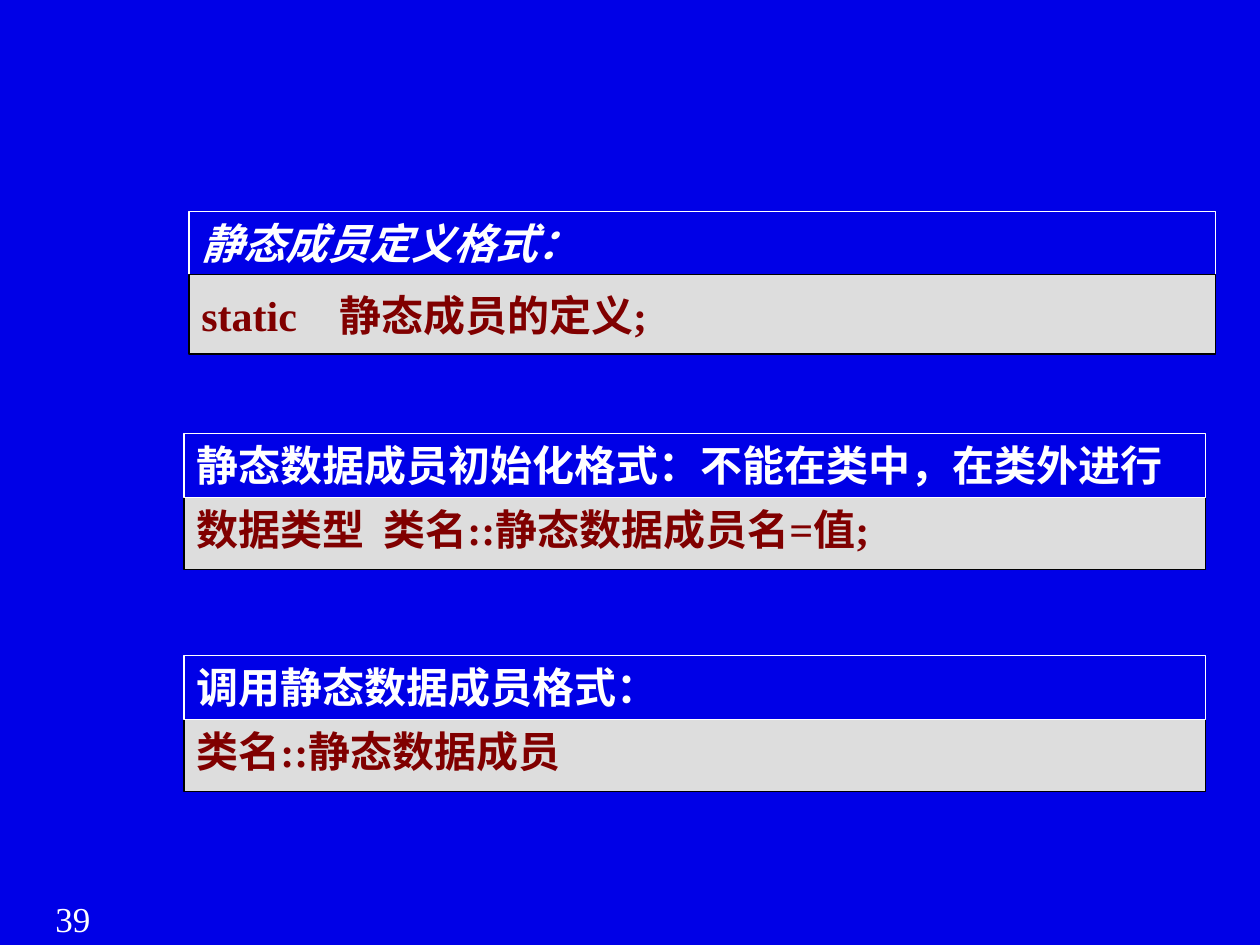
import pptx
import pptx.dml.color
import pptx.enum.shapes
import pptx.enum.text
import pptx.util
from pptx.util import Inches

FONT = "Times New Roman"
BLUE, WHITE, BLACK, GREY, MAROON = "0000E7", "FFFFFF", "000000", "DDDDDD", "800000"
TOP = pptx.enum.text.MSO_ANCHOR.TOP
MIDDLE = pptx.enum.text.MSO_ANCHOR.MIDDLE


def color(value):
    """Turn a hex string into a colour."""
    return pptx.dml.color.RGBColor.from_string(value)


def place(shape, left, top, width, height):
    """Move and size a shape, in inches."""
    shape.left, shape.top = Inches(left), Inches(top)
    shape.width, shape.height = Inches(width), Inches(height)


def write(shape, text, size, text_color, bold=False, italic=False, anchor=TOP):
    """Set one line of formatted text in a shape."""
    frame = shape.text_frame
    frame.text = text
    frame.word_wrap = True
    frame.auto_size = pptx.enum.text.MSO_AUTO_SIZE.NONE
    frame.vertical_anchor = anchor
    paragraph = frame.paragraphs[0]
    paragraph.alignment = pptx.enum.text.PP_ALIGN.JUSTIFY
    font = paragraph.runs[0].font
    font.name, font.size = FONT, pptx.util.Pt(size)
    font.bold, font.italic = bold, italic
    font.color.rgb = color(text_color)


def outline(shape, line_color):
    """Give a shape a thin border."""
    shape.line.color.rgb = color(line_color)
    shape.line.width = pptx.util.Pt(0.75)


def add_rectangle(shapes):
    """Add a plain rectangle without a shadow."""
    shape = shapes.add_shape(
        pptx.enum.shapes.MSO_SHAPE.RECTANGLE, 0, 0, Inches(1), Inches(1))
    shape.shadow.inherit = False
    return shape


def format_heading(shape, box, text, italic=False):
    """Set an outlined heading bar."""
    place(shape, *box)
    shape.fill.background()
    outline(shape, WHITE)
    write(shape, text, 24, WHITE, bold=True, italic=italic)


def add_syntax(shapes, box, text, anchor=TOP):
    """Add a grey bar that shows a syntax pattern."""
    shape = add_rectangle(shapes)
    place(shape, *box)
    shape.fill.solid()
    shape.fill.fore_color.rgb = color(GREY)
    outline(shape, BLACK)
    write(shape, text, 24, MAROON, bold=True, anchor=anchor)


def add_definition(slide, left, top, width):
    """Place the slide title with the definition syntax below it."""
    format_heading(slide.shapes.title, (left, top, width, 0.5),
                   "静态成员定义格式：", italic=True)
    add_syntax(slide.shapes, (left, top + 0.5, width, 0.63),
               "static　静态成员的定义;", MIDDLE)


def add_rule(slide, left, top, width, heading, syntax):
    """Add a group of a heading bar with its syntax bar below."""
    shapes = slide.shapes.add_group_shape().shapes
    add_syntax(shapes, (left, top + 0.51, width, 0.57), syntax)
    format_heading(add_rectangle(shapes), (left, top, width, 0.51), heading)


def add_page_number(slide, left, top, width, height):
    """Add the page number."""
    shape = slide.shapes.add_textbox(0, 0, Inches(1), Inches(1))
    place(shape, left, top, width, height)
    write(shape, "39", 20, WHITE)
    shape.text_frame.paragraphs[0].alignment = pptx.enum.text.PP_ALIGN.CENTER
    shape.text_frame.paragraphs[0].alignment = pptx.enum.text.PP_ALIGN.LEFT
    shape.text_frame.margin_left = Inches(0.27)


def main():
    """Build the slide and save it."""
    presentation = pptx.Presentation()
    presentation.slide_width, presentation.slide_height = Inches(10), Inches(7.5)
    slide = presentation.slides.add_slide(presentation.slide_layouts[5])
    slide.background.fill.solid()
    slide.background.fill.fore_color.rgb = color(BLUE)
    add_page_number(slide, 0.17, 7.07, 0.83, 0.43)
    add_definition(slide, 1.5, 1.68, 8.15)
    add_rule(slide, 1.46, 3.44, 8.11,
             "静态数据成员初始化格式：不能在类中，在类外进行",
             "数据类型  类名::静态数据成员名=值;")
    add_rule(slide, 1.46, 5.2, 8.11, "调用静态数据成员格式：", "类名::静态数据成员")
    presentation.save("out.pptx")


if __name__ == "__main__":
    main()
